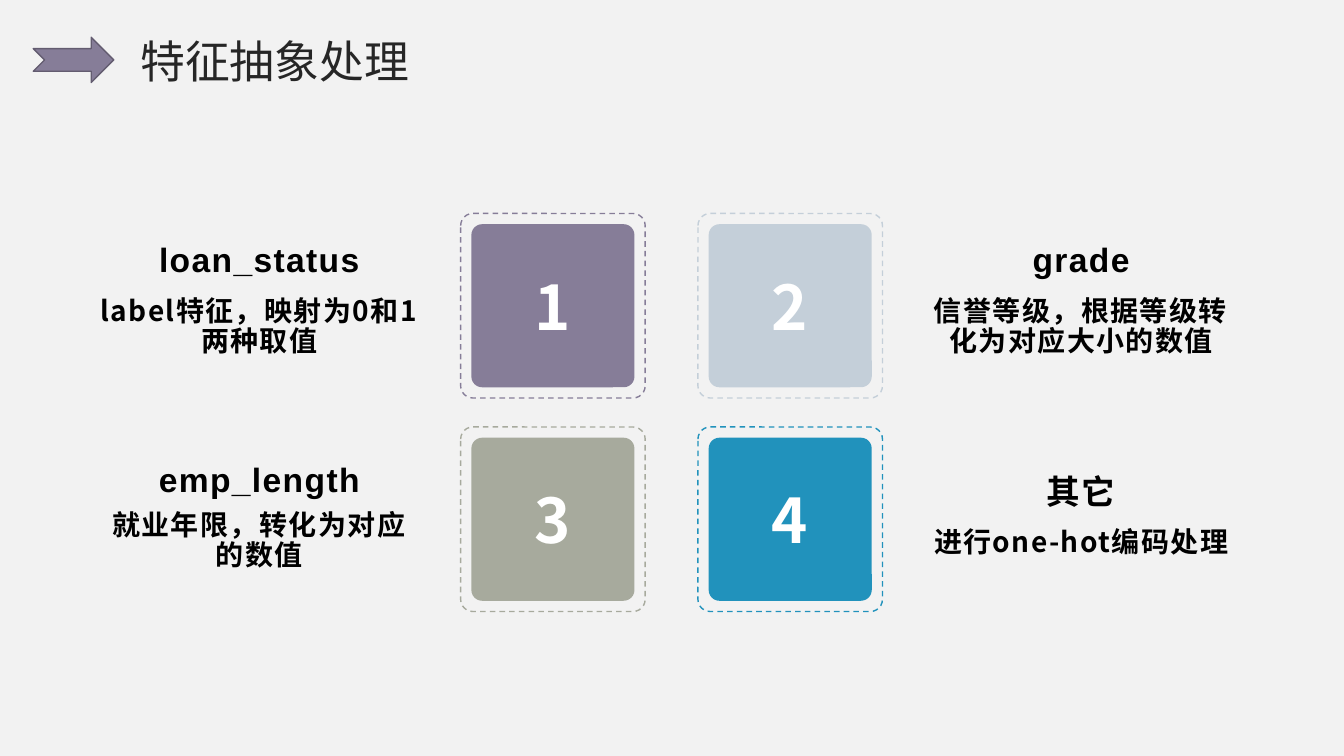
from pptx import Presentation
from pptx.dml.color import RGBColor
from pptx.enum.dml import MSO_LINE
from pptx.enum.shapes import MSO_SHAPE
from pptx.enum.text import MSO_ANCHOR, PP_ALIGN
from pptx.oxml.ns import qn
from pptx.util import Cm, Pt

ARROW, ROUNDED = MSO_SHAPE.NOTCHED_RIGHT_ARROW, MSO_SHAPE.ROUNDED_RECTANGLE
TOP, MIDDLE = MSO_ANCHOR.TOP, MSO_ANCHOR.MIDDLE
LEFT, CENTER = PP_ALIGN.LEFT, PP_ALIGN.CENTER
DASH = MSO_LINE.DASH

LATIN, CJK = "Arial", "Noto Sans CJK SC"
COLORS = {
    "background": "F2F2F2", "title": "262626", "text": "000000", "number": "FFFFFF",
    "purple": "867D98", "purple edge": "635C70", "mist": "C4CFD9",
    "sage": "A7AA9D", "blue": "2192BC",
}
TITLE_FORMAT = {"name": LATIN, "size": Pt(32), "bold": False}
NUMBER_FORMAT = {"name": CJK, "size": Pt(44), "bold": True}
HEADING_FORMAT = {"name": LATIN, "size": Pt(24), "bold": True}
DETAIL_FORMAT = {"name": CJK, "size": Pt(20), "bold": True}

# Lengths in cm
FRAME_LEFT, FRAME_TOP, FRAME_SIZE = 11.61, 5.38, 4.65
COLUMN_STEP, ROW_STEP = 5.98, 5.38
TILE_INSET = 0.27
CAPTION_LEFTS, CAPTION_WIDTH = (2.51, 23.22), 8.05
DETAIL_DROP, DETAIL_HEIGHT, HEADING_HEIGHT = 2.04, 1.68, 0.76

# Heading, detail, colour, heading drop below the frame top, detail line spacing
FEATURES = [
    ("loan_status", "label特征，映射为0和1两种取值", "purple", 0.64, 0.9),
    ("grade", "信誉等级，根据等级转化为对应大小的数值", "mist", 0.64, 0.9),
    ("emp_length", "就业年限，转化为对应的数值", "sage", 0.8, 0.9),
    ("其它", "进行one-hot编码处理", "blue", 1.1, 1.0),
]


def rgb(name):
    return RGBColor.from_string(COLORS[name])


def write(frame, text, font_format, color, align=CENTER, anchor=MIDDLE, spacing=None):
    frame.vertical_anchor = anchor
    paragraph = frame.paragraphs[0]
    paragraph.alignment = align
    paragraph.line_spacing = spacing
    run = paragraph.add_run()
    run.text = text
    for attribute, value in font_format.items():
        setattr(run.font, attribute, value)
    run.font.color.rgb = rgb(color)
    east_asian = run.font._element.makeelement(qn("a:ea"), {"typeface": CJK})
    run.font._element.append(east_asian)
    return run


def add_outline_shape(slide, kind, box, fill=None, line=None):
    shape = slide.shapes.add_shape(kind, *map(Cm, box))
    shape.shadow.inherit = False
    if fill:
        shape.fill.solid()
        shape.fill.fore_color.rgb = rgb(fill)
    else:
        shape.fill.background()
    if line:
        shape.line.color.rgb = rgb(line)
        shape.line.width = Pt(1)
    else:
        shape.line.fill.background()
    return shape


def add_header(slide, left, top):
    add_outline_shape(slide, ARROW, (left, top + 0.23, 2.03, 1.14), "purple", "purple edge")
    title = slide.shapes.title
    title.left, title.top, title.width, title.height = map(Cm, (left + 2.44, top, 10.08, 1.63))
    write(title.text_frame, "特征抽象处理", TITLE_FORMAT, "title", LEFT, TOP)


def add_tile(slide, number, color, left, top):
    """Place a numbered tile inside its dashed frame."""
    size = FRAME_SIZE - 2 * TILE_INSET
    tile = add_outline_shape(
        slide, ROUNDED, (left + TILE_INSET, top + TILE_INSET, size, size), color)
    frame = add_outline_shape(slide, ROUNDED, (left, top, FRAME_SIZE, FRAME_SIZE), line=color)
    frame.line.dash_style = DASH
    for square in (tile, frame):
        square.adjustments[0] = 0.066
    write(tile.text_frame, str(number), NUMBER_FORMAT, "number")


def add_caption_line(slide, text, box, font_format, anchor, wrap, spacing=None):
    frame = slide.shapes.add_textbox(*map(Cm, box)).text_frame
    for side in ("left", "top", "right", "bottom"):
        setattr(frame, f"margin_{side}", 0)
    frame.word_wrap = wrap
    run = write(frame, text, font_format, "text", CENTER, anchor, spacing)
    run.font._element.set("spc", "100")


def add_caption(slide, heading, detail, left, top, heading_drop, spacing):
    add_caption_line(slide, heading, (left, top + heading_drop, CAPTION_WIDTH, HEADING_HEIGHT),
                     HEADING_FORMAT, TOP, False)
    add_caption_line(slide, detail, (left, top + DETAIL_DROP, CAPTION_WIDTH, DETAIL_HEIGHT),
                     DETAIL_FORMAT, MIDDLE, True, spacing)


def add_features(slide, left, top):
    for index, (heading, detail, color, drop, spacing) in enumerate(FEATURES):
        row, column = divmod(index, 2)
        row_top = top + row * ROW_STEP
        add_tile(slide, index + 1, color, left + column * COLUMN_STEP, row_top)
        add_caption(slide, heading, detail, CAPTION_LEFTS[column], row_top, drop, spacing)


def main():
    presentation = Presentation()
    presentation.slide_width, presentation.slide_height = Cm(33.87), Cm(19.05)
    slide = presentation.slides.add_slide(presentation.slide_layouts[5])
    slide.background.fill.solid()
    slide.background.fill.fore_color.rgb = rgb("background")
    add_header(slide, 0.84, 0.71)
    add_features(slide, FRAME_LEFT, FRAME_TOP)
    presentation.save("out.pptx")


if __name__ == "__main__":
    main()
